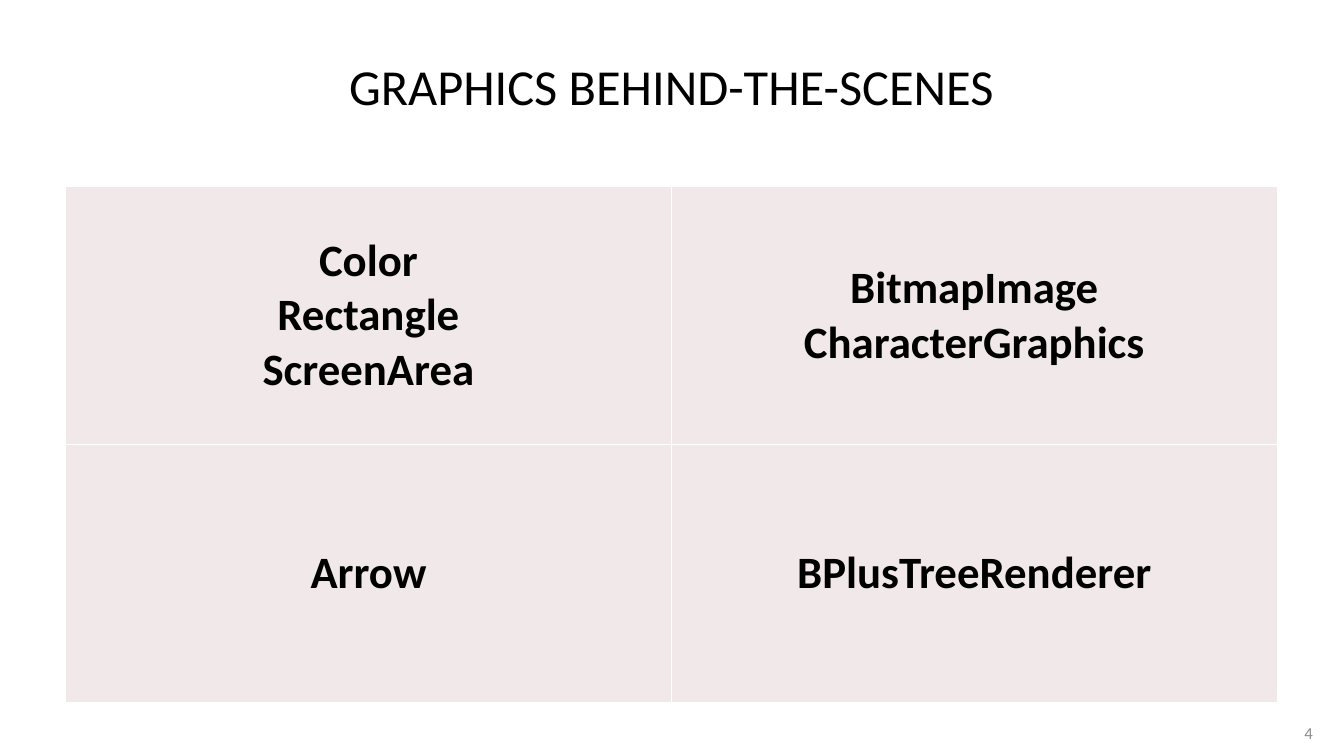
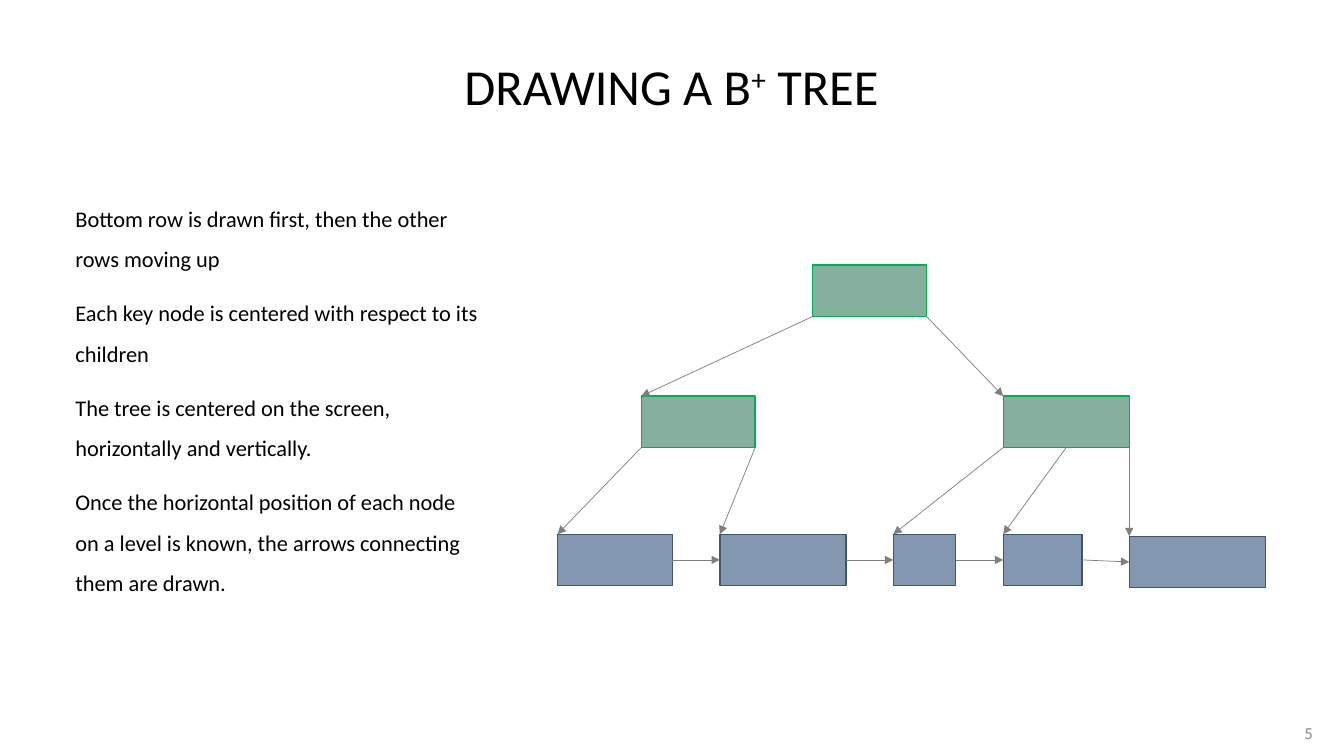
from itertools import pairwise

from lxml.etree import SubElement
from pptx import Presentation
from pptx.dml.color import RGBColor
from pptx.enum.shapes import MSO_CONNECTOR as Connector, MSO_SHAPE as Shape
from pptx.enum.text import MSO_ANCHOR as Anchor, MSO_AUTO_SIZE as AutoSize, PP_ALIGN as Align
from pptx.oxml.ns import qn
from pptx.util import Pt

EMU_PER_PX = 9144  # 100 px to the inch
TITLE_ONLY = 5
TOP, LEFT, BOTTOM, RIGHT = range(4)


def px(length):
    return int(length * EMU_PER_PX)


def color(hex_string):
    return RGBColor.from_string(hex_string)


def write_text(frame, paragraphs, size=16, ink="000000", bold=False, align=Align.LEFT,
               anchor=Anchor.TOP, line_spacing=None, space_before=None):
    """Fill a frame; a paragraph is a string or a list of (text, baseline) runs."""
    frame.word_wrap = True
    frame.auto_size = AutoSize.NONE
    frame.vertical_anchor = anchor
    for index, runs in enumerate(paragraphs):
        paragraph = frame.add_paragraph() if index else frame.paragraphs[0]
        paragraph.alignment = align
        if line_spacing:
            paragraph.line_spacing = line_spacing
        if space_before:
            paragraph.space_before = Pt(space_before)
        for text, baseline in [(runs, 0)] if isinstance(runs, str) else runs:
            for number, line in enumerate(text.split("\n")):
                if number:
                    paragraph.add_line_break()
                run = paragraph.add_run()
                run.text = line
                run.font.name = Deck.FONT
                run.font.size = Pt(size)
                run.font.bold = bold
                run.font.color.rgb = color(ink)
                if baseline:
                    run.font._element.set("baseline", str(baseline))


class Deck:
    FONT = "Calibri"
    PAGE_GRAY, ARROW_GRAY = "8C8C8C", "7F7F7F"
    CELL_FILL, CELL_BORDER = "F0E8E9", "FFFFFF"
    KEY_NODE = ("84B09D", "00B050")
    LEAF_NODE = ("8497B0", "44546A")
    MARGIN, CONTENT_TOP, CONTENT_WIDTH = 65, 185, 1202

    def __init__(self, first_page):
        self.presentation = Presentation()
        self.presentation.slide_width = px(1333)
        self.presentation.slide_height = px(750)
        self.page = first_page
        self.slide = None

    def add_slide(self, title):
        layout = self.presentation.slide_layouts[TITLE_ONLY]
        self.slide = self.presentation.slides.add_slide(layout)
        shape = self.slide.shapes.title
        shape.left, shape.top = px(self.MARGIN), px(40)
        shape.width, shape.height = px(self.CONTENT_WIDTH), px(90)
        write_text(shape.text_frame, [title], size=36, align=Align.CENTER, anchor=Anchor.MIDDLE)
        self.add_page_number()

    def add_page_number(self):
        self.add_text(1263, 707, 49, 40, [str(self.page)], size=12, ink=self.PAGE_GRAY,
                      align=Align.RIGHT, anchor=Anchor.MIDDLE)
        self.page += 1

    def add_text(self, left, top, width, height, paragraphs, **text_format):
        box = self.slide.shapes.add_textbox(px(left), px(top), px(width), px(height))
        write_text(box.text_frame, paragraphs, **text_format)

    def add_table(self, rows, row_height):
        shape = self.slide.shapes.add_table(
            len(rows), len(rows[0]), px(self.MARGIN), px(self.CONTENT_TOP),
            px(self.CONTENT_WIDTH), px(row_height * len(rows)))
        table = shape.table
        table.first_row = table.horz_banding = False
        for cell, text in zip(table.iter_cells(), (text for row in rows for text in row)):
            self.add_cell_borders(cell)
            cell.fill.solid()
            cell.fill.fore_color.rgb = color(self.CELL_FILL)
            write_text(cell.text_frame, [text], size=32, bold=True, align=Align.CENTER)
            cell.vertical_anchor = Anchor.MIDDLE

    def add_cell_borders(self, cell):
        properties = cell._tc.get_or_add_tcPr()
        for side in ("lnL", "lnR", "lnT", "lnB"):
            line = SubElement(properties, qn(f"a:{side}"), w=str(Pt(1)))
            fill = SubElement(line, qn("a:solidFill"))
            SubElement(fill, qn("a:srgbClr"), val=self.CELL_BORDER)

    def add_node(self, left, top, width, style):
        node = self.slide.shapes.add_shape(Shape.RECTANGLE, px(left), px(top), px(width), px(51))
        fill, line = style
        node.shadow.inherit = False
        node.fill.solid()
        node.fill.fore_color.rgb = color(fill)
        node.line.color.rgb = color(line)
        node.line.width = Pt(1)
        return node

    def add_arrow(self, start, end):
        """Draw an arrow between two (x, y) points in EMU."""
        arrow = self.slide.shapes.add_connector(Connector.STRAIGHT, *start, *end)
        arrow.line.color.rgb = color(self.ARROW_GRAY)
        arrow.line.width = Pt(0.5)
        SubElement(arrow.line._get_or_add_ln(), qn("a:tailEnd"), type="triangle")
        SubElement(arrow._element.spPr, qn("a:effectLst"))
        return arrow

    def add_sibling_arrow(self, node, sibling):
        arrow = self.add_arrow((node.left + node.width, node.top), (sibling.left, sibling.top))
        arrow.begin_connect(node, RIGHT)
        arrow.end_connect(sibling, LEFT)

    def add_child_arrows(self, parent, children):
        """Spread arrows along the parent's bottom, each to a child's top left corner."""
        last = len(children) - 1
        for index, child in enumerate(children):
            start = (parent.left + parent.width * index // last, parent.top + parent.height)
            arrow = self.add_arrow(start, (child.left, child.top))
            if index * 2 == last:
                arrow.begin_connect(parent, BOTTOM)


def add_classes_slide(deck):
    deck.add_slide("GRAPHICS BEHIND-THE-SCENES")
    deck.add_table([["Color\nRectangle\nScreenArea", "BitmapImage\nCharacterGraphics"],
                    ["Arrow", "BPlusTreeRenderer"]], row_height=256)


def add_tree_slide(deck):
    deck.add_slide([("DRAWING A B", 0), ("+", 30000), (" TREE", 0)])
    deck.add_text(deck.MARGIN, deck.CONTENT_TOP, 424, 491, [
        "Bottom row is drawn first, then the other rows moving up",
        "Each key node is centered with respect to its children",
        "The tree is centered on the screen, horizontally and vertically.",
        "Once the horizontal position of each node on a level is known, "
        "the arrows connecting them are drawn.",
    ], line_spacing=1.5, space_before=10)

    leaves = []
    left, gap = 553, 47
    for width, top in [(114, 530), (125, 530), (62, 530), (78, 530), (135, 532)]:
        leaves.append(deck.add_node(left, top, width, deck.LEAF_NODE))
        left += width + gap
    left_key = deck.add_node(636, 393, 113, deck.KEY_NODE)
    right_key = deck.add_node(995, 393, 125, deck.KEY_NODE)
    root = deck.add_node(806, 263, 113, deck.KEY_NODE)

    for node, sibling in pairwise(leaves):
        deck.add_sibling_arrow(node, sibling)
    deck.add_child_arrows(left_key, leaves[:2])
    deck.add_child_arrows(right_key, leaves[2:])
    deck.add_child_arrows(root, [left_key, right_key])


def main():
    deck = Deck(first_page=4)
    add_classes_slide(deck)
    add_tree_slide(deck)
    deck.presentation.save("out.pptx")


if __name__ == "__main__":
    main()
